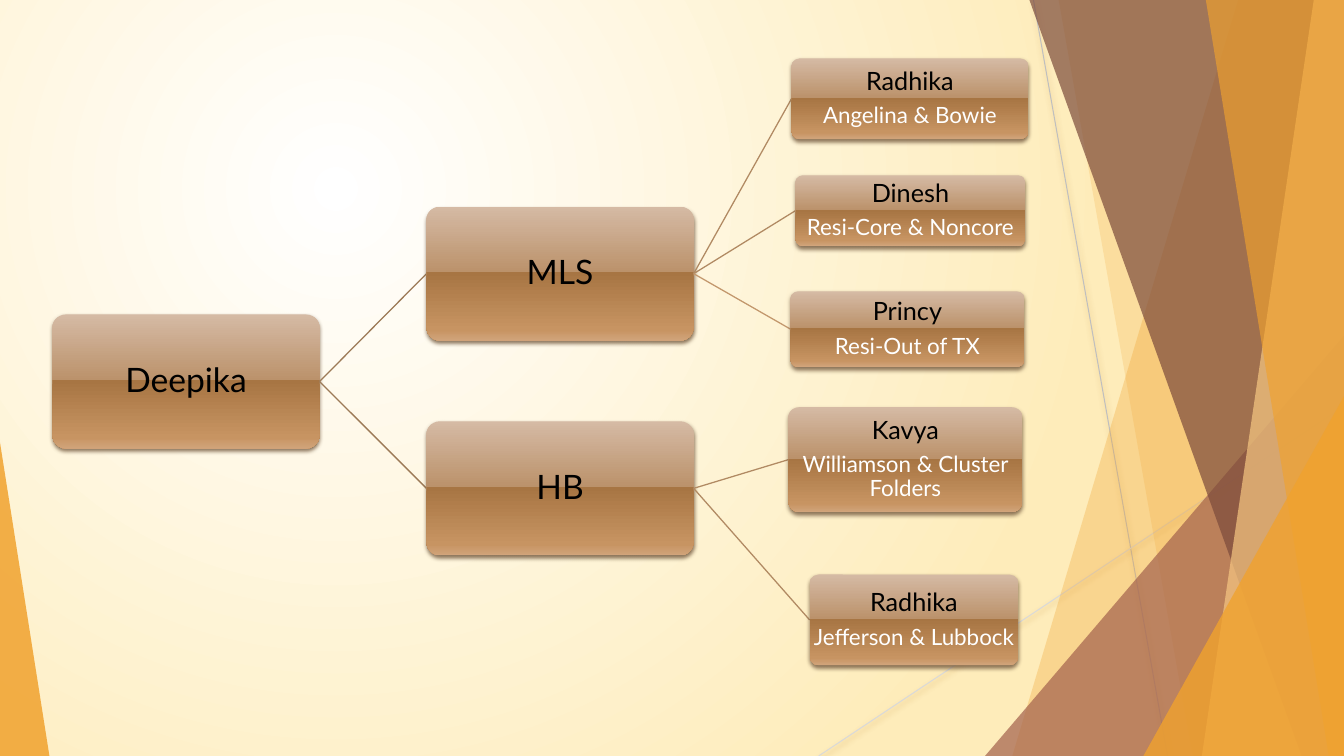
from collections import namedtuple

from lxml.etree import SubElement
from pptx import Presentation
from pptx.dml.color import RGBColor
from pptx.enum.shapes import MSO_CONNECTOR as Connector, MSO_SHAPE as Shape
from pptx.enum.text import MSO_ANCHOR as Anchor, PP_ALIGN as Align
from pptx.oxml.ns import qn
from pptx.util import Inches, Pt

Box = namedtuple("Box", "left top width height")
BRONZE = [(0, "D5BAA4"), (49, "BB926B"), (49, "A77543"), (92, "C79462"), (100, "D1A47B")]
GLOW = [(0, "FFFFFF"), (100, "FEECBA")]
AMBER = "F0A22E"
TRUNK_LINE, BRANCH_LINE, LOWEST_LINE = "9C7A57", "B18A63", "C3986D"
LARGE = (2.65, 1.33)
TEAMS = [
    ("MLS", 1.47, [
        ("Radhika", "Angelina & Bowie", (7.33, 0, 2.35, 0.8), BRANCH_LINE),
        ("Dinesh", "Resi-Core & Noncore", (7.37, 1.16, 2.28, 0.7), BRANCH_LINE),
        ("Princy", "Resi-Out of TX", (7.32, 2.31, 2.32, 0.75), LOWEST_LINE),
    ]),
    ("HB", 3.6, [
        ("Kavya", "Williamson & Cluster Folders", (7.3, 3.46, 2.32, 1.04), BRANCH_LINE),
        ("Radhika", "Jefferson & Lubbock", (7.51, 5.12, 2.07, 0.9), BRANCH_LINE),
    ]),
]


def color(value):
    """Turn a hex string into a colour."""
    return RGBColor.from_string(value)


def set_stops(gradient, stops):
    """Replace the stops of a gradient element."""
    stop_list = gradient.find(qn("a:gsLst"))
    for stop in list(stop_list):
        stop_list.remove(stop)
    for position, value in stops:
        stop = SubElement(stop_list, qn("a:gs"), pos=str(position * 1000))
        SubElement(stop, qn("a:srgbClr"), val=value)


def add_shadow(effects, value, opacity, blur, distance):
    """Add a downward shadow to an effect list."""
    shadow = SubElement(effects, qn("a:outerShdw"), blurRad=str(Pt(blur)),
                        dist=str(Pt(distance)), dir="5400000", algn="ctr", rotWithShape="0")
    tint = SubElement(shadow, qn("a:srgbClr"), val=value)
    SubElement(tint, qn("a:alpha"), val=str(opacity * 1000))


def add_line(page, start, end, value, width):
    """Draw a straight line and return its effect list."""
    ends = [Inches(length) for length in (*start, *end)]
    line = page.shapes.add_connector(Connector.STRAIGHT, *ends)
    line.line.color.rgb = color(value)
    line.line.width = Pt(width)
    return SubElement(line._element.spPr, qn("a:effectLst"))


def add_text(frame, text, size, value, first=False):
    """Write one centred paragraph."""
    para = frame.paragraphs[0] if first else frame.add_paragraph()
    para.alignment = Align.CENTER
    para.line_spacing = 0.9
    para.space_after = Pt(size * 0.35)
    span = para.add_run()
    span.text = text
    span.font.name = "Lato"
    span.font.size = Pt(size)
    span.font.color.rgb = color(value)


def paint(shape, value, opacity):
    """Give a shape a see-through fill with no outline or shadow."""
    shape.shadow.inherit = False
    shape.line.fill.background()
    shape.fill.solid()
    shape.fill.fore_color.rgb = color(value)
    tint = shape._element.spPr.find(".//" + qn("a:srgbClr"))
    SubElement(tint, qn("a:alpha"), val=str(opacity * 1000))


def add_panel(page, box, top_left, bottom_left, value, opacity):
    """Draw a slanted panel that runs to the right edge of the box."""
    right, bottom = box.left + box.width, box.top + box.height
    corners = [(box.left + top_left, box.top), (right, box.top),
               (right, bottom), (box.left + bottom_left, bottom)]
    points = [(Inches(x), Inches(y)) for x, y in corners]
    builder = page.shapes.build_freeform(*points[0])
    builder.add_line_segments(points[1:], close=True)
    paint(builder.convert_to_shape(), value, opacity)


def add_corner(page, box, width, height, peak, value, opacity):
    """Draw a triangle in a lower corner: peak 0 is left, 1 is right."""
    left = box.left + peak * (box.width - width)
    top = box.top + box.height - height
    area = [Inches(length) for length in (left, top, width, height)]
    corner = page.shapes.add_shape(Shape.ISOSCELES_TRIANGLE, *area)
    corner.adjustments[0] = peak
    paint(corner, value, opacity)


def draw_backdrop(page, box):
    """Draw the glowing background and the facets at both sides."""
    page.background.fill.gradient()
    gradient = page._element.find(".//" + qn("a:gradFill"))
    set_stops(gradient, GLOW)
    gradient.remove(gradient.find(qn("a:lin")))
    circle = SubElement(gradient, qn("a:path"), path="circle")
    SubElement(circle, qn("a:fillToRect"), l="50000", t="50000", r="100000", b="100000")

    right, bottom = box.left + box.width, box.top + box.height
    for start, end, value in [
        ((box.left + 10.25, box.top), (box.left + 11.58, bottom), "BFBFBF"),
        ((right, box.top + 4.03), (box.left + 8.12, bottom), "D9D9D9"),
    ]:
        add_shadow(add_line(page, start, end, value, 0.75), "A96500", 38, 4, 2)

    add_panel(page, box, 12.28, 10.04, AMBER, 30)
    add_panel(page, box, 10.5, 11.83, AMBER, 20)
    add_corner(page, box, 3.56, 4.17, 1, "A5644E", 72)
    add_panel(page, box, 10.21, 12.91, "7C4B3B", 70)
    add_panel(page, box, 13.03, 11.92, "F6C782", 70)
    add_panel(page, box, 11.96, 13.18, AMBER, 65)
    add_corner(page, box, 1.99, 3.57, 1, AMBER, 80)
    add_corner(page, box, 0.49, 3.11, 0, AMBER, 85)


def add_card(page, card, name, duty=None):
    """Draw a bronze card with a name and perhaps a duty."""
    shape = page.shapes.add_shape(Shape.ROUNDED_RECTANGLE, *[Inches(length) for length in card])
    shape.adjustments[0] = 0.1
    shape.line.fill.background()
    shape.fill.gradient()
    shape.fill.gradient_angle = 270
    properties = shape._element.spPr
    set_stops(properties.find(qn("a:gradFill")), BRONZE)
    shape.shadow.inherit = False
    add_shadow(properties.find(qn("a:effectLst")), "785E43", 83, 3.1, 2)
    frame = shape.text_frame
    frame.word_wrap = True
    frame.vertical_anchor = Anchor.MIDDLE
    frame.margin_left = frame.margin_right = frame.margin_top = frame.margin_bottom = Inches(0.01)
    add_text(frame, name, 18 if duty else 24, "000000", first=True)
    if duty:
        add_text(frame, duty, 16, "FFFFFF")


def link(page, parent, child, value):
    """Join the right side of a parent card to the left side of a child card."""
    start = (parent.left + parent.width, parent.top + parent.height / 2)
    end = (child.left, child.top + child.height / 2)
    add_line(page, start, end, value, 0.9)


def draw_organization(page, box):
    """Draw the lead, the teams and their members from left to right."""
    def place(left, top, width, height):
        """Move a card into the box."""
        return Box(box.left + left, box.top + top, width, height)

    lead = place(0, 2.54, *LARGE)
    add_card(page, lead, "Deepika")
    for team, top, members in TEAMS:
        team_card = place(3.71, top, *LARGE)
        link(page, lead, team_card, TRUNK_LINE)
        add_card(page, team_card, team)
        for name, duty, area, value in members:
            member_card = place(*area)
            link(page, team_card, member_card, value)
            add_card(page, member_card, name, duty)


def main():
    """Build and save the deck."""
    deck = Presentation()
    deck.slide_width, deck.slide_height = Inches(13.33), Inches(7.5)
    page = deck.slides.add_slide(deck.slide_layouts[6])
    draw_backdrop(page, Box(0, 0, 13.33, 7.5))
    draw_organization(page, Box(0.52, 0.58, 9.68, 6.02))
    deck.save("out.pptx")


if __name__ == "__main__":
    main()
